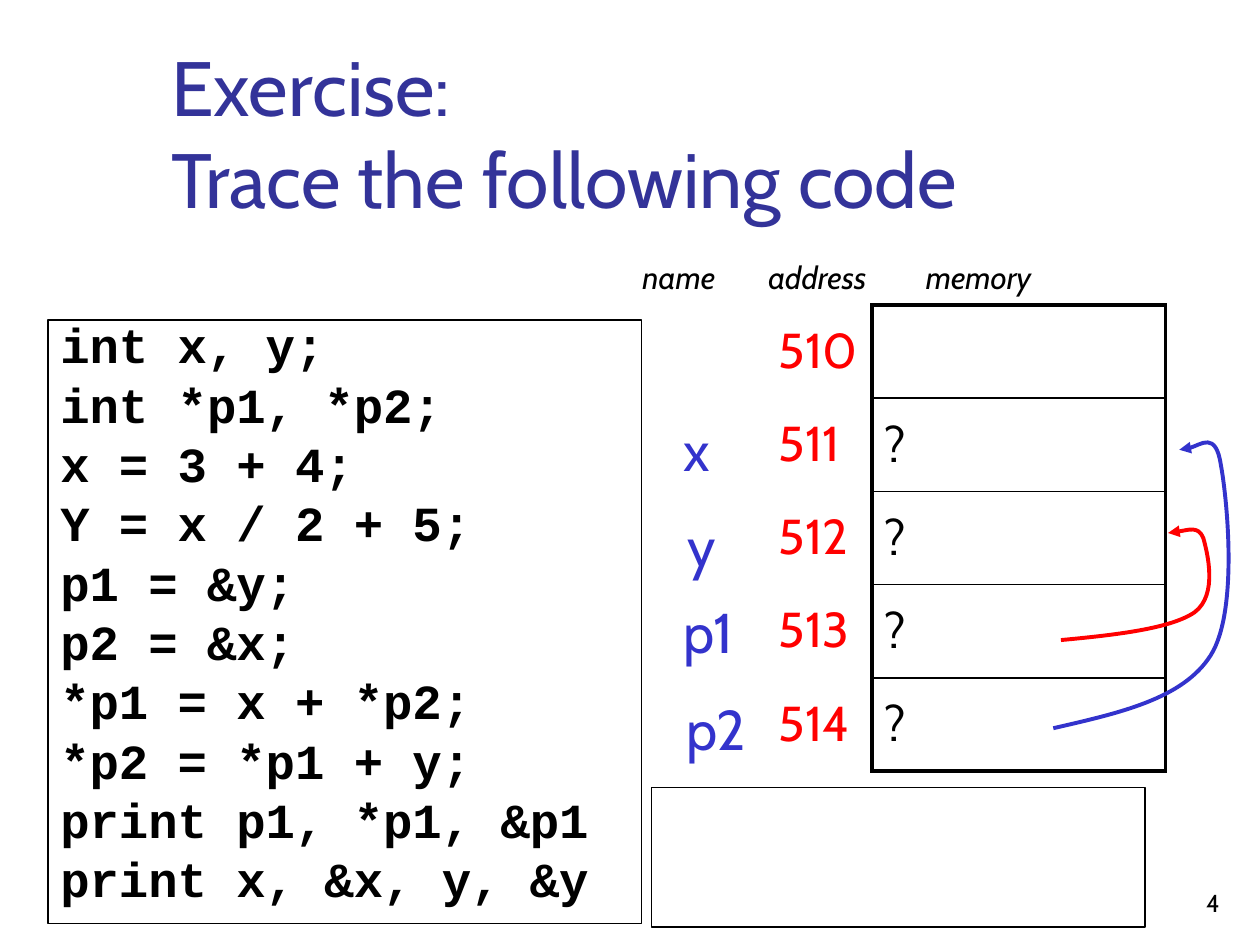
from typing import NamedTuple, Optional

import pptx
import pptx.dml.color
import pptx.enum.shapes
import pptx.enum.text
import pptx.oxml
import pptx.oxml.ns
import pptx.util
from pptx.util import Inches

ANCHOR = pptx.enum.text.MSO_ANCHOR
ALIGN = pptx.enum.text.PP_ALIGN
BLACK, RED, BLUE, TITLE_BLUE = "000000", "FF0000", "3333CC", "333399"
NO_STYLE = "{2D5ABB26-0587-4C30-8999-92F81FD0307C}"
ROW_HEIGHT = 0.74


class Style(NamedTuple):
    size: float
    color: str = BLACK
    font: str = "Cabin"
    bold: bool = False
    italic: bool = False


class Label(NamedTuple):
    text: str
    left: float
    top: float
    width: float
    height: float
    style: Style
    anchor: ANCHOR = ANCHOR.TOP
    align: ALIGN = ALIGN.LEFT
    wrap: bool = True


class Pointer(NamedTuple):
    """Bezier curve: a start point, then three points for each segment."""
    points: list
    color: str


HEADING = Style(18, italic=True)
VARIABLE = Style(32, BLUE)
CODE = Style(28, font="Courier New", bold=True)

CODE_LINES = [
    "int x, y;",
    "int *p1, *p2;",
    "x = 3 + 4;",
    "Y = x / 2 + 5;",
    "p1 = &y;",
    "p2 = &x;",
    "*p1 = x + *p2;",
    "*p2 = *p1 + y;",
    "print p1, *p1, &p1",
    "print x, &x, y, &y",
]

LABELS = [
    Label("4", 7.7, 6.83, 2.08, 0.5, Style(14), ANCHOR.BOTTOM, ALIGN.RIGHT),
    Label("Exercise:\vTrace the following code", 1.26, 0.23, 8.52, 1.6,
          Style(44, TITLE_BLUE), ANCHOR.BOTTOM),
    Label("name", 5, 2, 0.92, 0.4, HEADING),
    Label("address", 6, 2, 1.06, 0.4, HEADING, wrap=False),
    Label("memory", 7.25, 2, 2.5, 0.4, HEADING),
    Label("x", 5.33, 3.25, 0.75, 0.64, VARIABLE),
    Label("y", 5.36, 4.01, 0.75, 0.64, VARIABLE),
    Label("p1", 5.33, 4.69, 0.75, 0.64, VARIABLE),
    Label("p2", 5.35, 5.46, 0.7, 0.64, VARIABLE, wrap=False),
]

POINTERS = [
    Pointer([(8.42, 5.08), (8.85, 5.04), (9.29, 4.99), (9.48, 4.86),
             (9.67, 4.72), (9.58, 4.38), (9.55, 4.27),
             (9.51, 4.17), (9.31, 4.23), (9.27, 4.23)], RED),
    Pointer([(8.36, 5.78), (8.88, 5.66), (9.39, 5.55), (9.61, 5.2),
             (9.83, 4.85), (9.74, 3.96), (9.69, 3.69),
             (9.65, 3.42), (9.42, 3.59), (9.36, 3.57)], BLUE),
]


def rgb(color: str) -> pptx.dml.color.RGBColor:
    return pptx.dml.color.RGBColor.from_string(color)


def element(xml: str):
    namespace = pptx.oxml.ns.nsdecls("a")
    return pptx.oxml.parse_xml(xml.replace(" ", f" {namespace} ", 1))


def set_font(paragraph, style: Style) -> None:
    font = paragraph.font
    font.name, font.size = style.font, pptx.util.Pt(style.size)
    font.bold, font.italic = style.bold, style.italic
    font.color.rgb = rgb(style.color)


def set_outline(shape, color: str, width: float) -> None:
    shape.shadow.inherit = False
    shape.fill.background()
    shape.line.color.rgb = rgb(color)
    shape.line.width = pptx.util.Pt(width)


def add_label(page, label: Label) -> None:
    box = page.shapes.add_textbox(Inches(label.left), Inches(label.top),
                                  Inches(label.width), Inches(label.height))
    frame = box.text_frame
    frame.word_wrap, frame.vertical_anchor = label.wrap, label.anchor
    paragraph = frame.paragraphs[0]
    paragraph.text, paragraph.alignment = label.text, label.align
    set_font(paragraph, label.style)


def add_box(page, left: float, top: float, width: float, height: float, line_width: float):
    box = page.shapes.add_shape(pptx.enum.shapes.MSO_SHAPE.RECTANGLE, Inches(left),
                                Inches(top), Inches(width), Inches(height))
    set_outline(box, BLACK, line_width)
    return box


def add_code(page, lines: list) -> None:
    frame = add_box(page, 0.38, 2.54, 4.71, 4.79, 0.75).text_frame
    frame.word_wrap, frame.vertical_anchor = True, ANCHOR.TOP
    for number, line in enumerate(lines):
        paragraph = frame.add_paragraph() if number else frame.paragraphs[0]
        paragraph.text, paragraph.alignment = line, ALIGN.LEFT
        paragraph.line_spacing = 0.8
        paragraph.space_before = pptx.util.Pt(7 if number else 0)
        set_font(paragraph, CODE)


def add_column(page, left: float, top: float, width: float, texts: list,
               style: Style, anchor: ANCHOR):
    """Add a plain one-column table."""
    frame = page.shapes.add_table(len(texts), 1, Inches(left), Inches(top), Inches(width),
                                  Inches(ROW_HEIGHT * len(texts)))
    table = frame.table
    table.first_row = table.horz_banding = False
    table._tbl.tblPr.find(pptx.oxml.ns.qn("a:tableStyleId")).text = NO_STYLE
    for row, text in enumerate(texts):
        cell = table.cell(row, 0)
        cell.fill.background()
        cell.vertical_anchor = anchor
        cell.text = text
        set_font(cell.text_frame.paragraphs[0], style)
    return table


def add_borders(table, outer: float = 2.25, inner: float = 1) -> None:
    last = len(table.rows) - 1
    for row in range(last + 1):
        widths = {"lnL": outer, "lnR": outer,
                  "lnT": inner if row else outer,
                  "lnB": inner if row < last else outer}
        properties = table.cell(row, 0)._tc.get_or_add_tcPr()
        for position, (side, width) in enumerate(widths.items()):
            properties.insert(position, element(
                f'<a:{side} w="{int(pptx.util.Pt(width))}"><a:solidFill>'
                f'<a:srgbClr val="{BLACK}"/></a:solidFill></a:{side}>'))


def add_pointer(page, pointer: Pointer) -> None:
    points = [(Inches(x), Inches(y)) for x, y in pointer.points]
    builder = page.shapes.build_freeform(*points[0])
    builder.add_line_segments(points[1:], close=False)
    curve = builder.convert_to_shape()
    set_outline(curve, pointer.color, 2.25)
    segments = list(curve._element.iter(pptx.oxml.ns.qn("a:lnTo")))
    for start in range(0, len(segments), 3):
        bezier = element("<a:cubicBezTo />")
        segments[start].addprevious(bezier)
        for segment in segments[start:start + 3]:
            bezier.append(segment[0])
            segment.getparent().remove(segment)
    curve.line._get_or_add_ln().append(element('<a:tailEnd type="triangle"/>'))


def main() -> None:
    deck = pptx.Presentation()
    deck.slide_width, deck.slide_height = Inches(10), Inches(7.5)
    page = deck.slides.add_slide(deck.slide_layouts[6])
    add_code(page, CODE_LINES)
    memory = add_column(page, 6.92, 2.42, 2.33, ["", "?", "?", "?", "?"],
                        Style(28), ANCHOR.MIDDLE)
    add_borders(memory)
    addresses = [str(number) for number in range(510, 515)]
    add_column(page, 6.08, 2.33, 1.17, addresses + [""], Style(28, RED), ANCHOR.BOTTOM)
    add_box(page, 5.17, 6.25, 3.92, 1.11, 1)
    for label in LABELS:
        add_label(page, label)
    for pointer in POINTERS:
        add_pointer(page, pointer)
    deck.save("out.pptx")


if __name__ == "__main__":
    main()
